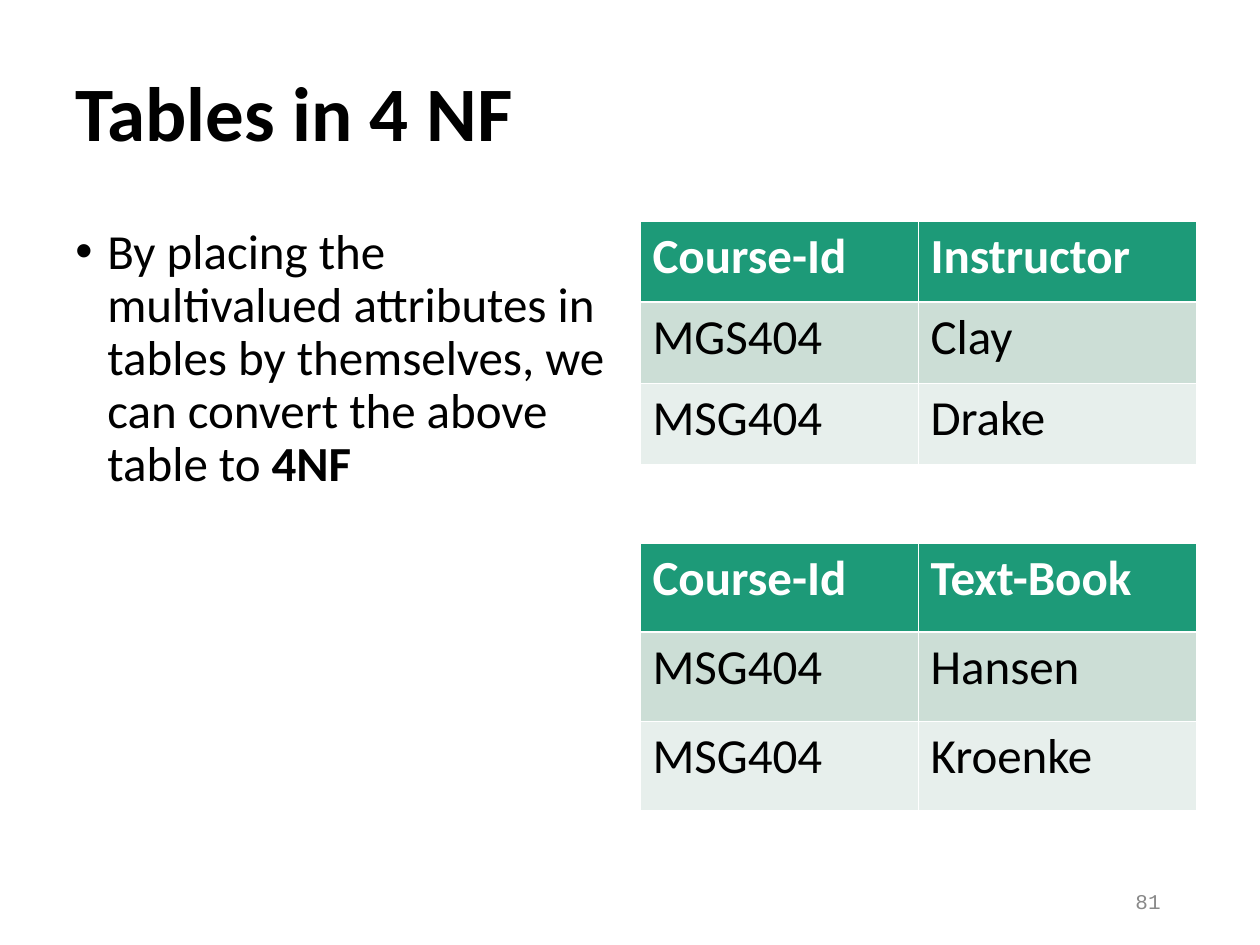
from dataclasses import dataclass

from lxml.etree import SubElement
from pptx import Presentation
from pptx.dml.color import RGBColor
from pptx.enum.text import MSO_ANCHOR, PP_ALIGN
from pptx.oxml.ns import qn
from pptx.util import Emu, Pt

EMU_PER_PX = 914400 / 126


@dataclass(frozen=True)
class Theme:
    font: str = "Calibri"
    number_font: str = "Courier New"
    title_size: int = 44
    body_size: int = 28
    number_size: int = 12
    ink: str = "000000"
    muted: str = "898989"
    white: str = "FFFFFF"
    header_fill: str = "1D9A78"
    band_fills: tuple = ("CCDED6", "E7EFEC")
    thin_line: float = 0.45
    header_line: float = 1.47


THEME = Theme()


def px(length):
    return Emu(round(length * EMU_PER_PX))


def write_text(frame, spans, *, size=THEME.body_size, font=THEME.font, color=THEME.ink,
               align=PP_ALIGN.LEFT, anchor=MSO_ANCHOR.TOP, line_spacing=None, bullet=False):
    """Fill a text frame with one paragraph of (text, bold) spans."""
    frame.word_wrap = True
    frame.vertical_anchor = anchor
    para = frame.paragraphs[0]
    if bullet:
        add_bullet(para)
    para.alignment = align
    if line_spacing:
        para.line_spacing = line_spacing
    for text, bold in spans:
        span = para.add_run()
        span.text = text
        span.font.name = font
        span.font.size = Pt(size)
        span.font.bold = bold
        span.font.color.rgb = RGBColor.from_string(color)


def add_bullet(para, indent=32):
    properties = para._p.get_or_add_pPr()
    properties.set("marL", str(px(indent)))
    properties.set("indent", str(-px(indent)))
    SubElement(properties, qn("a:buFont"), typeface="Arial")
    SubElement(properties, qn("a:buChar"), char="•")


def add_text(page, area, spans, **text_format):
    box = page.shapes.add_textbox(*map(px, area))
    write_text(box.text_frame, spans, **text_format)


def set_borders(cell, **widths):
    """Draw white cell borders; widths in points by side: L, R, T, B."""
    properties = cell._tc.get_or_add_tcPr()
    for position, side in enumerate(("L", "R", "T", "B")):
        width = Pt(widths.get(side, THEME.thin_line))
        line = SubElement(properties, qn(f"a:ln{side}"), w=str(width))
        fill = SubElement(line, qn("a:solidFill"))
        SubElement(fill, qn("a:srgbClr"), val=THEME.white)
        properties.insert(position, line)


def add_table(page, left, top, column_width, row_height, rows):
    columns = len(rows[0])
    area = (left, top, column_width * columns, row_height * len(rows))
    table = page.shapes.add_table(len(rows), columns, *map(px, area)).table
    for column in table.columns:
        column.width = px(column_width)
    for number, values in enumerate(rows):
        table.rows[number].height = px(row_height)
        header = number == 0
        fill = THEME.header_fill if header else THEME.band_fills[(number - 1) % 2]
        widths = {0: {"B": THEME.header_line}, 1: {"T": THEME.header_line}}.get(number, {})
        for cell, value in zip(table.rows[number].cells, values):
            cell.fill.solid()
            cell.fill.fore_color.rgb = RGBColor.from_string(fill)
            set_borders(cell, **widths)
            write_text(cell.text_frame, [(value, header)],
                       color=THEME.white if header else THEME.ink)


def main():
    deck = Presentation()
    deck.slide_width, deck.slide_height = px(1260), px(945)
    page = deck.slides.add_slide(deck.slide_layouts[6])

    add_text(page, (63, 38, 1134, 157), [("Tables in 4 NF", True)],
             size=THEME.title_size, anchor=MSO_ANCHOR.MIDDLE, line_spacing=0.9)
    add_text(page, (63, 221, 557, 624),
             [("By placing the multivalued attributes in tables by themselves, "
               "we can convert the above table to ", False), ("4NF", True)],
             line_spacing=0.9, bullet=True)
    add_table(page, 640, 221, 278, 81, [("Course-Id", "Instructor"),
                                        ("MGS404", "Clay"),
                                        ("MSG404", "Drake")])
    add_table(page, 640, 543, 278, 89, [("Course-Id", "Text-Book"),
                                        ("MSG404", "Hansen"),
                                        ("MSG404", "Kroenke")])
    add_text(page, (890, 876, 283, 50), [("81", False)], size=THEME.number_size,
             font=THEME.number_font, color=THEME.muted, align=PP_ALIGN.RIGHT,
             anchor=MSO_ANCHOR.MIDDLE)
    deck.save("out.pptx")


if __name__ == "__main__":
    main()
